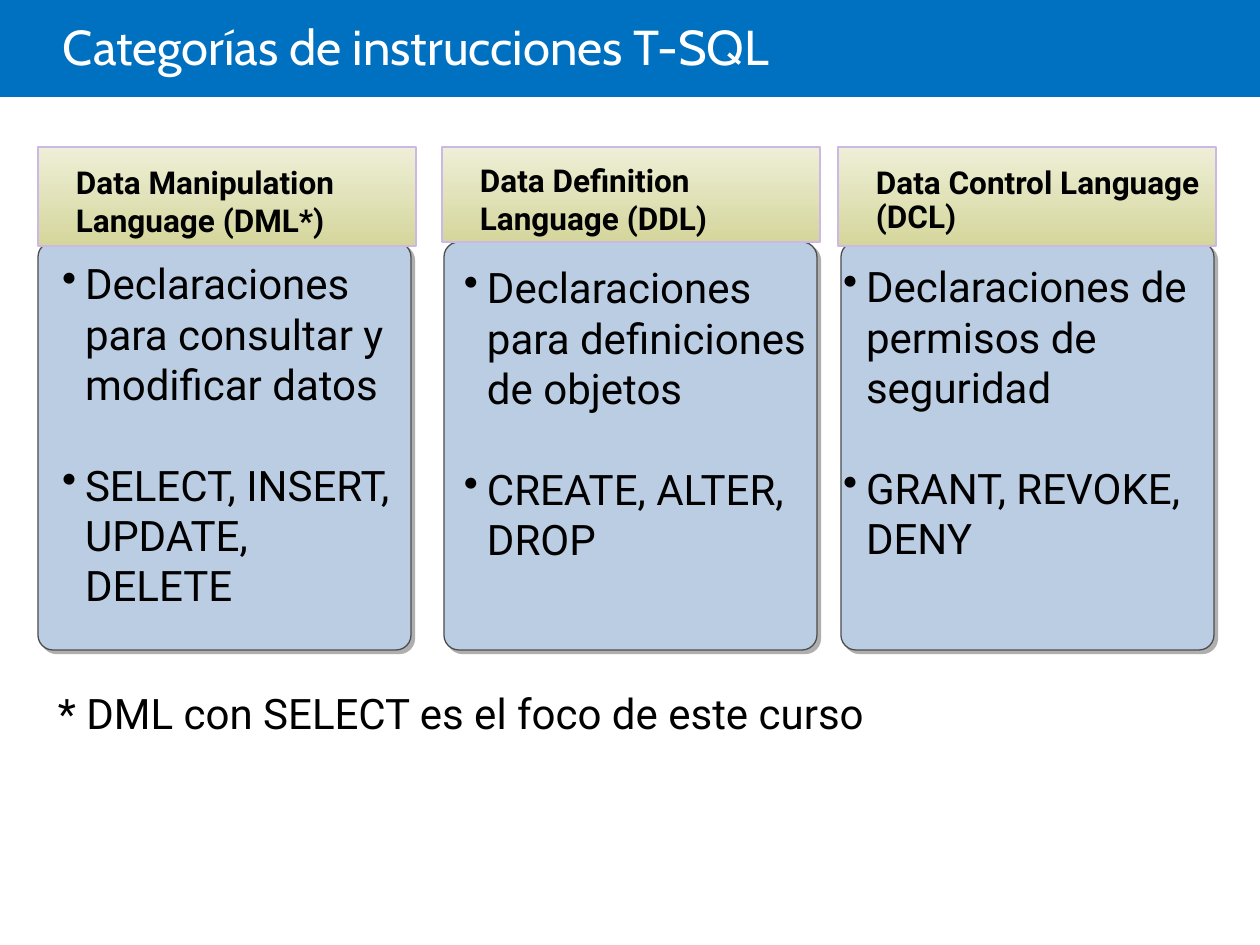
import pptx
import pptx.util
import pptx.dml.color
import pptx.enum.shapes
import pptx.enum.text
import pptx.oxml
import pptx.oxml.ns
import lxml.etree

RGB = pptx.dml.color.RGBColor
Pt = pptx.util.Pt
KIND = pptx.enum.shapes.MSO_SHAPE
MID = pptx.enum.text.MSO_ANCHOR.MIDDLE
LEFT = pptx.enum.text.PP_ALIGN.LEFT

BLUE = RGB(0x00, 0x70, 0xC0)
WHITE = RGB(0xFF, 0xFF, 0xFF)
BLACK = RGB(0, 0, 0)
PANEL = RGB(0xBB, 0xCD, 0xE3)
EDGE = RGB(0x4D, 0x4D, 0x4D)
LILAC = RGB(0xCC, 0xB8, 0xE4)
CREAM = RGB(0xEE, 0xEF, 0xD7)
OLIVE = RGB(0xD5, 0xD6, 0x9C)

# Content: heading, list items, panel x, head (x, height, spacing), list box
TITLE = "Categorías de instrucciones T-SQL"
NOTE = "* DML con SELECT es el foco de este curso"
COLS = [
    ("Data Manipulation Language (DML*)",
     ["Declaraciones para consultar y modificar datos",
      "SELECT, INSERT, UPDATE, DELETE"],
     38, (38, 99, 1), (62, 258, 333, 375)),
    ("Data Definition Language (DDL)",
     ["Declaraciones para definiciones de objetos", "CREATE, ALTER, DROP"],
     444, (442, 95, 1), (464, 262, 353, 416)),
    ("Data Control Language (DCL)",
     ["Declaraciones de permisos de seguridad", "GRANT, REVOKE, DENY"],
     841, (838, 99, 0.9), (843, 261, 362, 373)),
]
SHADOW = ('<a:effectLst %s><a:outerShdw dist="35560" dir="2700000">'
          '<a:srgbClr val="AFAFAF"/></a:outerShdw></a:effectLst>'
          % pptx.oxml.ns.nsdecls("a"))


def px(n):
    return round(n * 914400 / 126)


def put(kind, *place):
    shape = slide.shapes.add_shape(kind, *map(px, place))
    shape.shadow.inherit = False
    return shape


def rule(shape, color):
    shape.line.color.rgb = color
    shape.line.width = Pt(0.75)


def write(shape, lines, size, font="Roboto", color=BLACK, bold=False,
          inset=(0, 0, 0, 0)):
    frame = shape.text_frame
    frame.text = "\n".join(lines)
    frame.word_wrap = True
    (frame.margin_left, frame.margin_top,
     frame.margin_right, frame.margin_bottom) = map(px, inset)
    for para in frame.paragraphs:
        para.alignment = LEFT
        for run in para.runs:
            run.font.size = Pt(size)
            run.font.name = font
            run.font.bold = bold
            run.font.color.rgb = color
    return frame


def box(*place):
    return slide.shapes.add_textbox(*map(px, place))


def bullet(para):
    props = para._p.get_or_add_pPr()
    props.set("marL", str(px(23)))
    props.set("indent", str(-px(23)))
    mark = lxml.etree.SubElement(props, pptx.oxml.ns.qn("a:buChar"))
    mark.set("char", "•")


deck = pptx.Presentation()
deck.slide_width, deck.slide_height = px(1260), px(945)
slide = deck.slides.add_slide(deck.slide_layouts[6])

# Title band
band = put(KIND.RECTANGLE, 0, 0, 1260, 97)
band.fill.solid()
band.fill.fore_color.rgb = BLUE
band.line.fill.background()
frame = write(box(63, 0, 1071, 102), [TITLE], 28, "Cabin", WHITE,
              inset=(0, 6, 13, 6))
frame.vertical_anchor = MID
frame.paragraphs[0].line_spacing = 0.85

for name, items, left, (x, high, space), place in COLS:
    # Panel with shadow
    panel = put(KIND.ROUNDED_RECTANGLE, left, 242, 373, 408)
    panel.adjustments[0] = 0.04
    panel.fill.solid()
    panel.fill.fore_color.rgb = PANEL
    rule(panel, EDGE)
    props = panel._element.spPr
    props.remove(props.find(pptx.oxml.ns.qn("a:effectLst")))
    props.append(pptx.oxml.parse_xml(SHADOW))

    # Bullet list
    frame = write(box(*place), items, 24)
    frame.paragraphs[0].space_after = Pt(28.5)
    for para in frame.paragraphs:
        bullet(para)

    # Heading
    head = put(KIND.RECTANGLE, x, 147, 378, high)
    head.fill.gradient()
    head.fill.gradient_angle = 270
    for stop, color, spot in zip(head.fill.gradient_stops,
                                 (CREAM, OLIVE), (0, 1)):
        stop.color.rgb = color
        stop.position = spot
    rule(head, LILAC)
    frame = write(head, [name], 18, bold=True, inset=(38, 15, 13, 6))
    frame.vertical_anchor = MID
    frame.paragraphs[0].line_spacing = space

# Footnote
write(box(45, 682, 906, 63), [NOTE], 24, inset=(13, 6, 13, 6))

deck.save("out.pptx")
